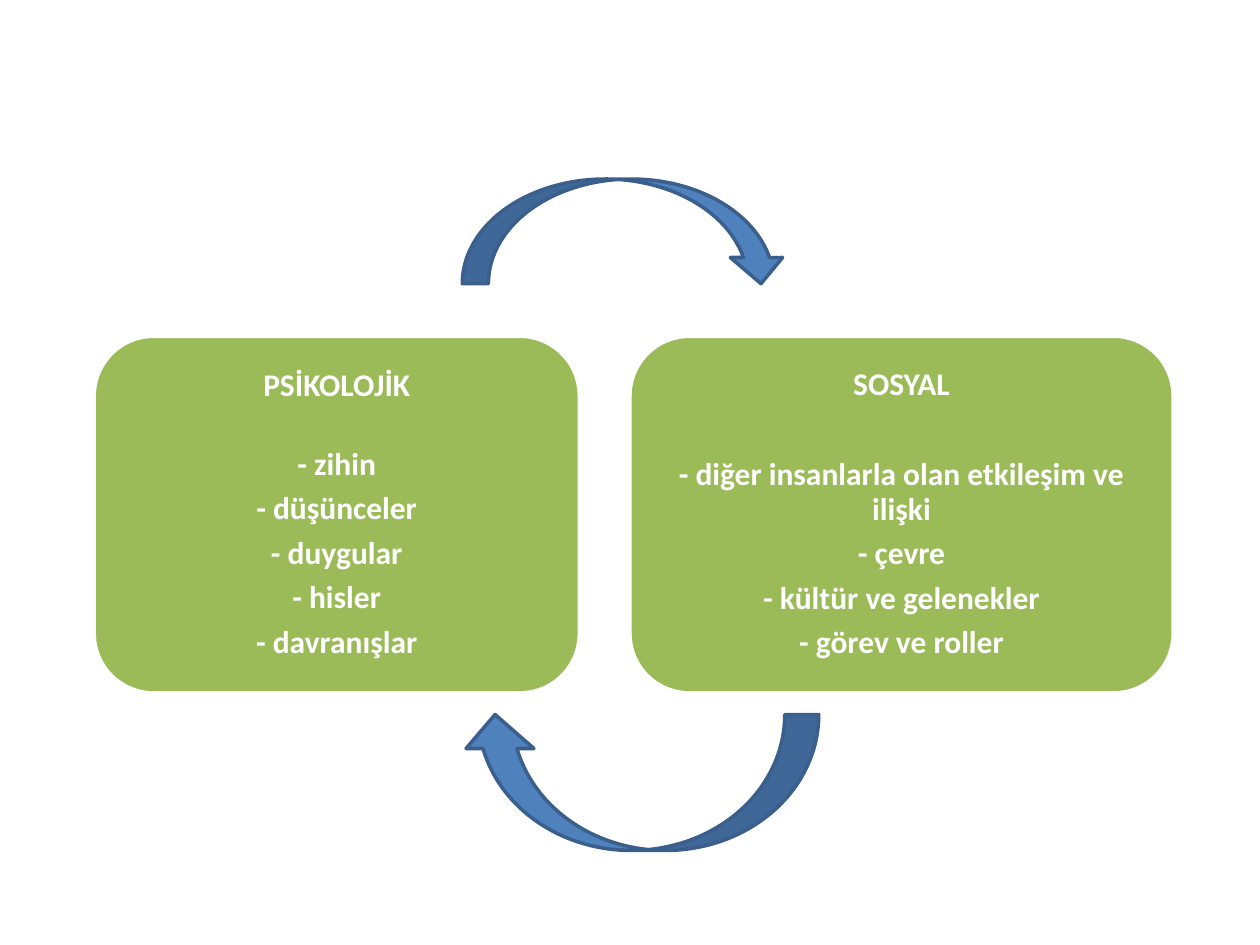
"""Build a slide showing the psychological and social cycle."""
from dataclasses import dataclass

import pptx
import pptx.dml.color
import pptx.enum.shapes
import pptx.enum.text
import pptx.util

Cm = pptx.util.Cm
Pt = pptx.util.Pt
Preset = pptx.enum.shapes.MSO_SHAPE
GREEN = pptx.dml.color.RGBColor(0x9B, 0xBB, 0x59)
BLUE = pptx.dml.color.RGBColor(0x4F, 0x81, 0xBD)
DARK_BLUE = pptx.dml.color.RGBColor(0x3A, 0x5F, 0x8C)
WHITE = pptx.dml.color.RGBColor(0xFF, 0xFF, 0xFF)
PANEL_TOP, PANEL_HEIGHT = 6.78, 7.19
INSET = Cm(0.18)


@dataclass
class Panel:
    left: float
    width: float
    heading: str
    heading_gap: float
    items: list[str]


@dataclass
class Arrow:
    preset: Preset
    left: float
    top: float
    width: float
    height: float
    rotation: float = 0


PANELS = [
    Panel(1.9, 9.78, "PSİKOLOJİK", 25.5,
          ["- zihin", "- düşünceler", "- duygular", "- hisler", "- davranışlar"]),
    Panel(12.7, 10.95, "SOSYAL", 32,
          ["- diğer insanlarla olan etkileşim ve ilişki", "- çevre",
           "- kültür ve gelenekler", "- görev ve roller"]),
]
ARROWS = [
    Arrow(Preset.CURVED_DOWN_ARROW, 9.32, 3.61, 6.55, 2.11),
    Arrow(Preset.CURVED_LEFT_ARROW, 11.53, 12.17, 2.74, 7.21, rotation=90),
]


def add_filled_shape(page, preset: Preset, left: float, top: float,
                     width: float, height: float, *, fill, line):
    shape = page.shapes.add_shape(preset, Cm(left), Cm(top), Cm(width), Cm(height))
    shape.shadow.inherit = False
    shape.fill.solid()
    shape.fill.fore_color.rgb = fill
    shape.line.color.rgb = line
    shape.line.width = Pt(2)
    return shape


def write_paragraph(para, text: str, *, size: float = 18, bold: bool = True,
                    color=WHITE, space_after: float = 6) -> None:
    para.alignment = pptx.enum.text.PP_ALIGN.CENTER
    para.line_spacing = 0.9
    para.space_after = Pt(space_after)
    span = para.add_run()
    span.text = text
    span.font.name = "Calibri"
    span.font.size = Pt(size)
    span.font.bold = bold
    span.font.color.rgb = color


def draw_panel(page, panel: Panel) -> None:
    box = add_filled_shape(page, Preset.ROUNDED_RECTANGLE, panel.left, PANEL_TOP,
                           panel.width, PANEL_HEIGHT, fill=GREEN, line=WHITE)
    frame = box.text_frame
    frame.word_wrap = True
    frame.vertical_anchor = pptx.enum.text.MSO_ANCHOR.MIDDLE
    frame.margin_left = frame.margin_right = INSET
    frame.margin_top = frame.margin_bottom = INSET
    write_paragraph(frame.paragraphs[0], panel.heading, space_after=panel.heading_gap)
    for item in panel.items:
        write_paragraph(frame.add_paragraph(), item)


def draw_arrow(page, arrow: Arrow) -> None:
    shape = add_filled_shape(page, arrow.preset, arrow.left, arrow.top,
                             arrow.width, arrow.height, fill=BLUE, line=DARK_BLUE)
    shape.rotation = arrow.rotation


def main() -> None:
    deck = pptx.Presentation()
    deck.slide_width, deck.slide_height = Cm(25.4), Cm(19.05)
    page = deck.slides.add_slide(deck.slide_layouts[6])
    for panel in PANELS:
        draw_panel(page, panel)
    for arrow in ARROWS:
        draw_arrow(page, arrow)
    deck.save("out.pptx")


if __name__ == "__main__":
    main()
